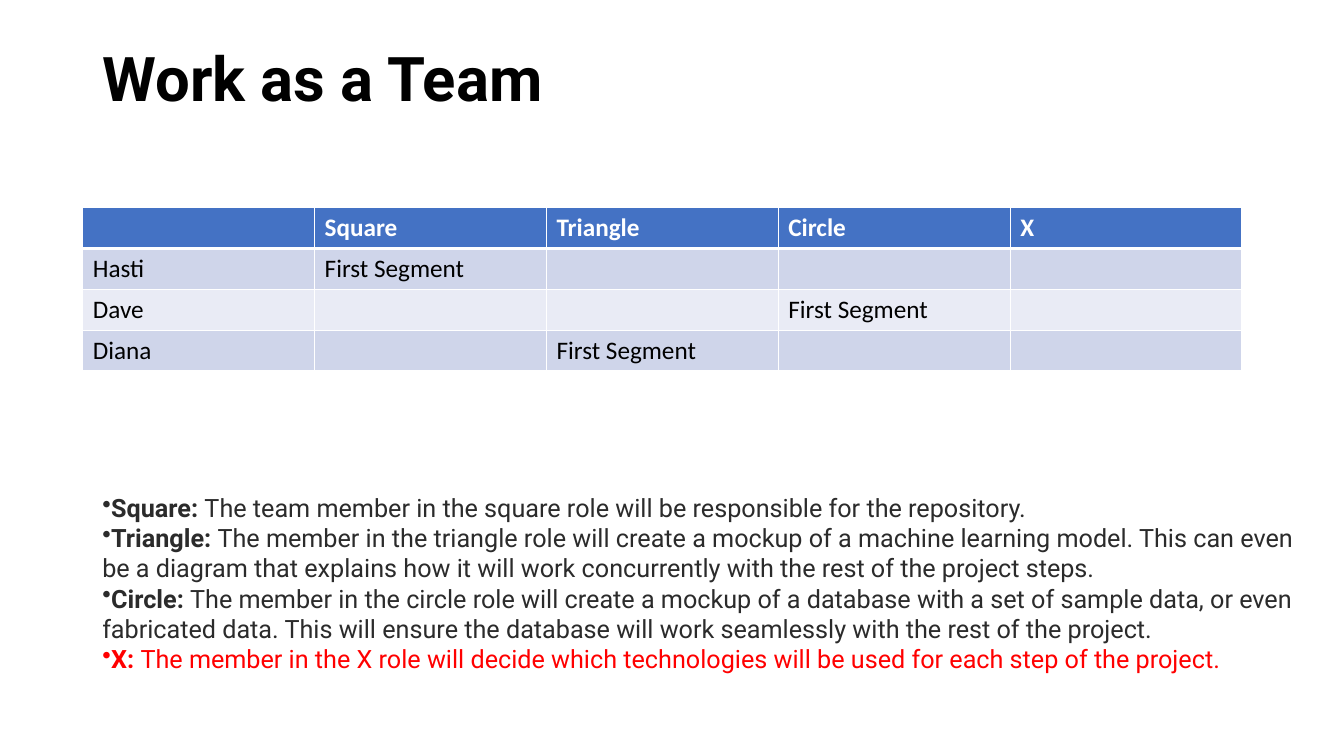
from dataclasses import dataclass

from lxml import etree
from pptx import Presentation
from pptx.dml.color import RGBColor
from pptx.enum.text import MSO_ANCHOR, MSO_AUTO_SIZE
from pptx.oxml.ns import qn
from pptx.util import Inches, Pt

TOP = MSO_ANCHOR.TOP
GROW = MSO_AUTO_SIZE.SHAPE_TO_FIT_TEXT
UNIT = 1 / 12  # inches in one grid column or row


@dataclass(frozen=True)
class Theme:
    title_font: str = "Roboto"
    table_font: str = "Calibri"
    title_size: int = 44
    body_size: int = 18
    black: str = "000000"
    white: str = "FFFFFF"
    body: str = "2B2B2B"
    alert: str = "FF0000"
    header: str = "4472C4"
    bands: tuple = ("CFD5EA", "E9EBF5")
    thin: int = 1
    thick: int = 3


def grid(count):
    return Inches(count * UNIT)


def write(para, text, *, font, size, color, bold=False):
    """Add one formatted span to a paragraph."""
    span = para.add_run()
    span.text = text
    span.font.name = font
    span.font.size = Pt(size)
    span.font.bold = bold
    span.font.color.rgb = RGBColor.from_string(color)


class Page:
    def __init__(self, deck, theme):
        self.theme = theme
        self.slide = deck.slides.add_slide(deck.slide_layouts[6])

    def text_box(self, left, top, width, height):
        box = self.slide.shapes.add_textbox(*map(grid, (left, top, width, height)))
        frame = box.text_frame
        frame.word_wrap = True
        frame.vertical_anchor = TOP
        return frame

    def title(self, text, *place):
        frame = self.text_box(*place)
        frame.margin_top = Inches(0.08)
        para = frame.paragraphs[0]
        para.line_spacing = 0.9
        write(para, text, font=self.theme.title_font, size=self.theme.title_size,
              color=self.theme.black, bold=True)

    def bullets(self, items, *place):
        frame = self.text_box(*place)
        frame.auto_size = GROW
        for index, (label, text, color) in enumerate(items):
            para = frame.add_paragraph() if index else frame.paragraphs[0]
            settings = para._p.get_or_add_pPr()
            settings.set("marL", "0")
            settings.set("indent", "0")
            etree.SubElement(settings, qn("a:buChar"), char="•")
            style = dict(font=self.theme.title_font, size=self.theme.body_size, color=color)
            write(para, f"{label}:", bold=True, **style)
            write(para, f"\u00a0{text}", **style)

    def borders(self, cell, row):
        theme = self.theme
        widths = {
            "L": theme.thin,
            "R": theme.thin,
            "T": theme.thick if row == 1 else theme.thin,
            "B": theme.thick if row == 0 else theme.thin,
        }
        settings = cell._tc.get_or_add_tcPr()
        for side, width in widths.items():
            line = etree.SubElement(settings, qn(f"a:ln{side}"), w=str(Pt(width)))
            fill = etree.SubElement(line, qn("a:solidFill"))
            etree.SubElement(fill, qn("a:srgbClr"), val=theme.white)

    def table(self, rows, *place):
        theme = self.theme
        holder = self.slide.shapes.add_table(len(rows), len(rows[0]), *map(grid, place))
        for row, texts in enumerate(rows):
            is_header = row == 0
            back = theme.header if is_header else theme.bands[(row - 1) % 2]
            for column, text in enumerate(texts):
                cell = holder.table.cell(row, column)
                self.borders(cell, row)
                cell.fill.solid()
                cell.fill.fore_color.rgb = RGBColor.from_string(back)
                if text:
                    write(cell.text_frame.paragraphs[0], text, font=theme.table_font,
                          size=theme.body_size, bold=is_header,
                          color=theme.white if is_header else theme.black)


theme = Theme()
deck = Presentation()
deck.slide_width, deck.slide_height = grid(160), grid(90)
page = Page(deck, theme)

# Title
page.title("Work as a Team", 11, 4.8, 138, 17.4)

# Who takes which role
roles = ["Square", "Triangle", "Circle", "X"]
members = {"Hasti": "Square", "Dave": "Circle", "Diana": "Triangle"}
rows = [["", *roles]]
for member, taken in members.items():
    rows.append([member, *("First Segment" if role == taken else "" for role in roles)])
page.table(rows, 9.86, 24.72, 138, 19.45)

# What each role does
duties = [
    "The team member in the square role will be responsible for the repository.",
    "The member in the triangle role will create a mockup of a machine learning model. "
    "This can even be a diagram that explains how it will work concurrently with the "
    "rest of the project steps.",
    "The member in the circle role will create a mockup of a database with a set of "
    "sample data, or even fabricated data. This will ensure the database will work "
    "seamlessly with the rest of the project.",
    "The member in the X role will decide which technologies will be used for each "
    "step of the project.",
]
colors = [theme.body] * 3 + [theme.alert]
page.bullets(zip(roles, duties, colors), 11, 58, 146.25, 23)

deck.save("out.pptx")
